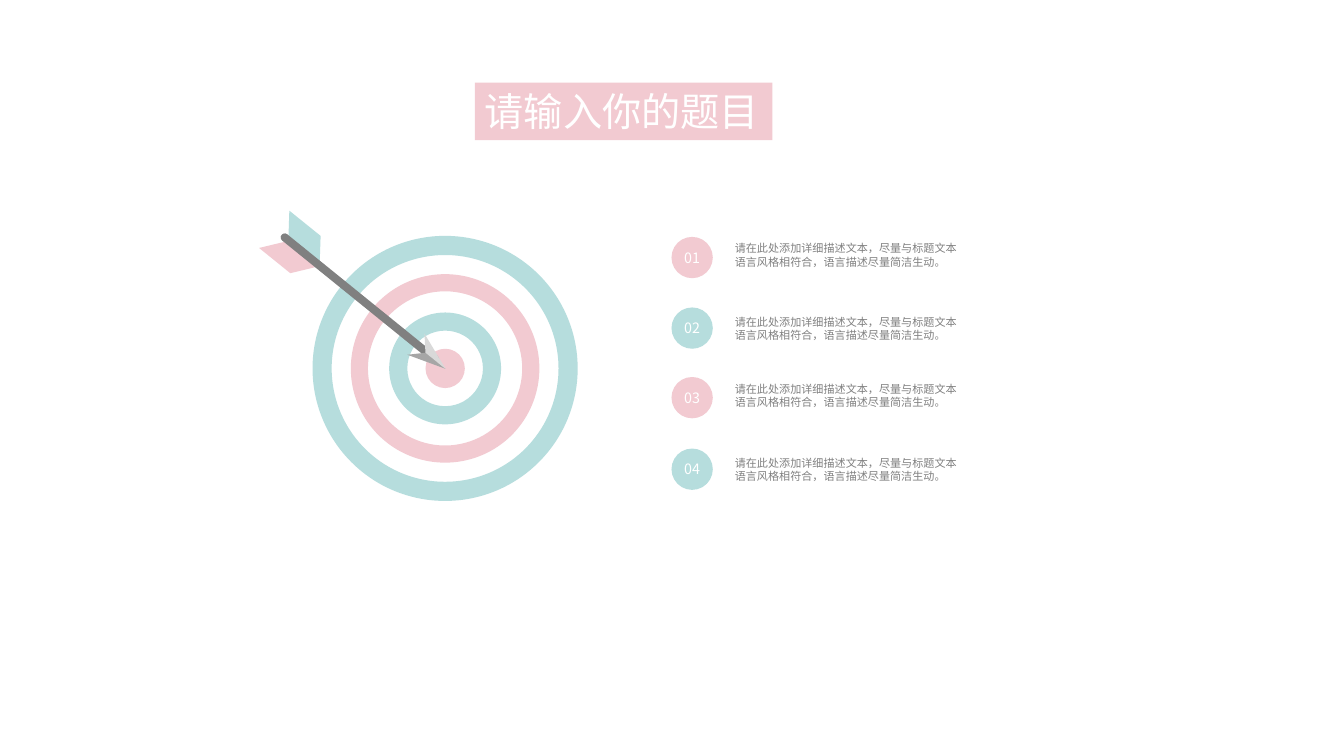
"""Build a target-and-arrow slide with four numbered points."""
from lxml.etree import SubElement
from pptx import Presentation
from pptx.dml.color import RGBColor
from pptx.enum.shapes import MSO_SHAPE
from pptx.enum.text import MSO_ANCHOR, MSO_AUTO_SIZE, PP_ALIGN
from pptx.oxml.ns import qn
from pptx.util import Pt

PX = 9144
PINK = RGBColor(0xF2, 0xCA, 0xD1)
TEAL = RGBColor(0xB6, 0xDD, 0xDD)
WHITE = RGBColor(0xFF, 0xFF, 0xFF)
GRAY = RGBColor(0x80, 0x80, 0x80)
MID_GRAY = RGBColor(0xA6, 0xA6, 0xA6)
LIGHT_GRAY = RGBColor(0xD9, 0xD9, 0xD9)

TITLE = "请输入你的题目"
BODY = "请在此处添加详细描述文本，尽量与标题文本语言风格相符合，语言描述尽量简洁生动。"
POINTS = [("01", PINK, 235, 235), ("02", TEAL, 305, 308),
          ("03", PINK, 374, 374), ("04", TEAL, 445, 448)]
TARGET_BOX = (883, 731)
DISCS = [(260, WHITE), (39, PINK)]
RINGS = [(263, 19, TEAL), (187, 17, PINK), (111, 18, TEAL)]
FEATHERS = [([(317, 264), (288, 271), (257, 246), (286, 239)], PINK),
            ([(317, 264), (318, 234), (287, 209), (286, 239)], TEAL)]
SHAFT = (257, 292, 200, 8)
SHAFT_ANGLE = 39
HEAD = [([(404, 352), (442, 366), (422, 350)], MID_GRAY),
        ([(422, 350), (442, 366), (421, 331)], LIGHT_GRAY)]

TITLE_FONT = {"name": "Noto Sans CJK JP", "size": Pt(28)}
BADGE_FONT = {"name": "Noto Sans CJK SC", "size": Pt(10.2)}
BODY_FONT = {"name": "Noto Sans CJK JP", "size": Pt(7.9)}
TITLE_FRAME = {"word_wrap": False, "auto_size": MSO_AUTO_SIZE.SHAPE_TO_FIT_TEXT}
BODY_FRAME = {"word_wrap": True, "auto_size": MSO_AUTO_SIZE.SHAPE_TO_FIT_TEXT}
BADGE_FRAME = {"word_wrap": True, "vertical_anchor": MSO_ANCHOR.MIDDLE,
               "margin_left": 0, "margin_top": 0,
               "margin_right": 0, "margin_bottom": 0}


def emu(box):
    return [v * PX for v in box]


def paint(sp, color):
    sp.shadow.inherit = False
    sp.fill.solid()
    sp.fill.fore_color.rgb = color
    sp.line.fill.background()
    return sp


def add_preset(shapes, kind, box, color):
    return paint(shapes.add_shape(kind, *emu(box)), color)


def add_polygon(shapes, points, color):
    builder = shapes.build_freeform(*points[0], scale=PX)
    builder.add_line_segments(points[1:], close=True)
    return paint(builder.convert_to_shape(), color)


def write(sp, text, font, color, frame, align=PP_ALIGN.LEFT):
    tf = sp.text_frame
    for key, value in frame.items():
        setattr(tf, key, value)
    p = tf.paragraphs[0]
    p.alignment = align
    r = p.add_run()
    r.text = text
    for key, value in font.items():
        setattr(r.font, key, value)
    r.font.color.rgb = color
    SubElement(r.font._element, qn("a:ea"), typeface=font["name"])


def centred(size):
    return [(total - size) // 2 for total in TARGET_BOX] + [size, size]


def add_target(shapes):
    for size, color in DISCS:
        add_preset(shapes, MSO_SHAPE.OVAL, centred(size), color)
    for size, band, color in RINGS:
        ring = add_preset(shapes, MSO_SHAPE.DONUT, centred(size), color)
        ring.adjustments[0] = band / size


def add_arrow(shapes):
    for points, color in FEATHERS:
        add_polygon(shapes, points, color)
    shaft = add_preset(shapes, MSO_SHAPE.ROUNDED_RECTANGLE, SHAFT, GRAY)
    shaft.adjustments[0] = 0.5
    shaft.rotation = SHAFT_ANGLE
    for points, color in HEAD:
        add_polygon(shapes, points, color)


def add_points(shapes):
    for number, color, badge_top, body_top in POINTS:
        badge = add_preset(shapes, MSO_SHAPE.OVAL, (666, badge_top, 41, 41), color)
        write(badge, number, BADGE_FONT, WHITE, BADGE_FRAME, PP_ALIGN.CENTER)
        body = shapes.add_textbox(*emu((719, body_top, 246, 37)))
        write(body, BODY, BODY_FONT, GRAY, BODY_FRAME)


def main():
    prs = Presentation()
    prs.slide_width, prs.slide_height = emu((1333, 750))
    s = prs.slides.add_slide(prs.slide_layouts[6])
    title = paint(s.shapes.add_textbox(*emu((471, 82, 295, 57))), PINK)
    write(title, TITLE, TITLE_FONT, WHITE, TITLE_FRAME)
    add_target(s.shapes)
    add_arrow(s.shapes)
    add_points(s.shapes)
    prs.save("out.pptx")


if __name__ == "__main__":
    main()
